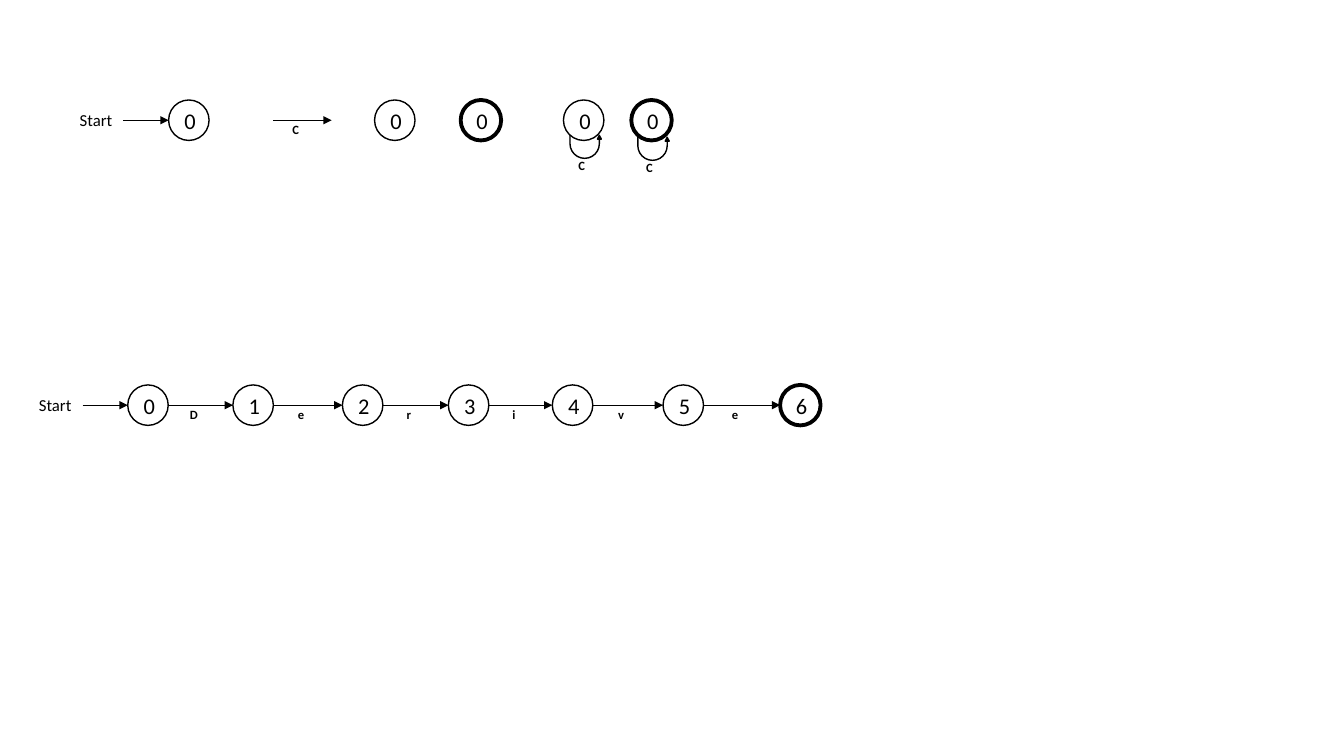
"""Build a slide of state machine symbols and the automaton for one word."""
from dataclasses import dataclass

from lxml import etree
from pptx import Presentation
from pptx.dml.color import RGBColor
from pptx.enum import shapes, text
from pptx.oxml.ns import qn
from pptx.util import Cm, Pt

LEGEND_Y = 3.03
LEGEND_STATES = [(4.76, False), (9.95, False), (12.12, True), (14.71, False), (16.42, True)]
LEGEND_ARROW = (6.88, 8.36, "C")
LEGEND_LOOPS = [(14.71, 0.38, "C"), (16.42, 0.43, "C")]

WORD_Y = 10.21
WORD = "Derive"
WORD_CENTRES = [3.73, 6.38, 9.14, 11.81, 14.43, 17.22, 20.17]

RADIUS = 0.51
START_LENGTH = 1.14
START_BOX = (1.35, 0.76)
LABEL_BOX = (0.41, 0.64)
LOOP_BOX = (0.79, 0.58)
LOOP_ADJUSTMENTS = (0, 0.085, 0.164, 0.717, 1)


@dataclass(frozen=True)
class Theme:
    ink: RGBColor = RGBColor(0, 0, 0)
    font: str = "Calibri"
    start_size: int = 12
    state_size: int = 16
    label_size: int = 9
    arrow_line: float = 0.75
    state_line: float = 1
    final_line: float = 2.75


THEME = Theme()


def write(shape, words, size, align, bold=False):
    paragraph = shape.text_frame.paragraphs[0]
    paragraph.text = words
    paragraph.alignment = align
    paragraph.font.name = THEME.font
    paragraph.font.size = Pt(size)
    paragraph.font.bold = bold
    paragraph.font.color.rgb = THEME.ink


def add_ink_shape(slide, kind, left, top, width, height, line_width):
    shape = slide.shapes.add_shape(kind, Cm(left), Cm(top), Cm(width), Cm(height))
    shape.shadow.inherit = False
    shape.line.color.rgb = THEME.ink
    shape.line.width = Pt(line_width)
    return shape


def add_state(slide, x, y, name, final=False):
    line_width = THEME.final_line if final else THEME.state_line
    circle = add_ink_shape(slide, shapes.MSO_SHAPE.OVAL, x - RADIUS, y - RADIUS,
                           2 * RADIUS, 2 * RADIUS, line_width)
    circle.fill.background()
    circle.text_frame.vertical_anchor = text.MSO_ANCHOR.MIDDLE
    write(circle, name, THEME.state_size, text.PP_ALIGN.CENTER)


def add_label(slide, x, top, letter):
    width, height = LABEL_BOX
    label = slide.shapes.add_textbox(Cm(x - width / 2), Cm(top), Cm(width), Cm(height))
    label.text_frame.margin_left = label.text_frame.margin_right = 0
    write(label, letter, THEME.label_size, text.PP_ALIGN.CENTER, bold=True)


def add_arrow(slide, begin, end, y, letter=None):
    arrow = slide.shapes.add_connector(
        shapes.MSO_CONNECTOR.STRAIGHT, Cm(begin), Cm(y), Cm(end), Cm(y))
    arrow.line.color.rgb = THEME.ink
    arrow.line.width = Pt(THEME.arrow_line)
    etree.SubElement(arrow.line._get_or_add_ln(), qn("a:tailEnd"), type="triangle")
    etree.SubElement(arrow._element.spPr, qn("a:effectLst"))
    if letter:
        add_label(slide, (begin + end) / 2 - 0.17, y - 0.09, letter)


def add_start(slide, x, y):
    width, height = START_BOX
    end = x - RADIUS
    begin = end - START_LENGTH
    box = slide.shapes.add_textbox(
        Cm(begin - width), Cm(y - height / 2), Cm(width), Cm(height))
    box.text_frame.word_wrap = False
    write(box, "Start", THEME.start_size, text.PP_ALIGN.LEFT)
    add_arrow(slide, begin, end, y)


def add_loop(slide, x, top, letter):
    width, height = LOOP_BOX
    loop = add_ink_shape(slide, shapes.MSO_SHAPE.U_TURN_ARROW, x + 0.05 - width / 2, top,
                         width, height, THEME.state_line)
    loop.fill.solid()
    loop.fill.fore_color.rgb = THEME.ink
    loop.rotation = 180
    loop._element.spPr.xfrm.set("flipH", "1")
    for index, value in enumerate(LOOP_ADJUSTMENTS):
        loop.adjustments[index] = value
    add_label(slide, x - 0.05, top + 0.44, letter)


def main():
    presentation = Presentation()
    presentation.slide_width, presentation.slide_height = Cm(33.87), Cm(19.05)
    slide = presentation.slides.add_slide(presentation.slide_layouts[6])

    add_start(slide, LEGEND_STATES[0][0], LEGEND_Y)
    for x, final in LEGEND_STATES:
        add_state(slide, x, LEGEND_Y, "0", final)
    begin, end, letter = LEGEND_ARROW
    add_arrow(slide, begin, end, LEGEND_Y, letter)
    for x, drop, letter in LEGEND_LOOPS:
        add_loop(slide, x, LEGEND_Y + drop, letter)

    add_start(slide, WORD_CENTRES[0], WORD_Y)
    for number, x in enumerate(WORD_CENTRES):
        add_state(slide, x, WORD_Y, str(number), final=number == len(WORD))
    for letter, x, following in zip(WORD, WORD_CENTRES, WORD_CENTRES[1:]):
        add_arrow(slide, x + RADIUS, following - RADIUS, WORD_Y, letter)

    presentation.save("out.pptx")


if __name__ == "__main__":
    main()
